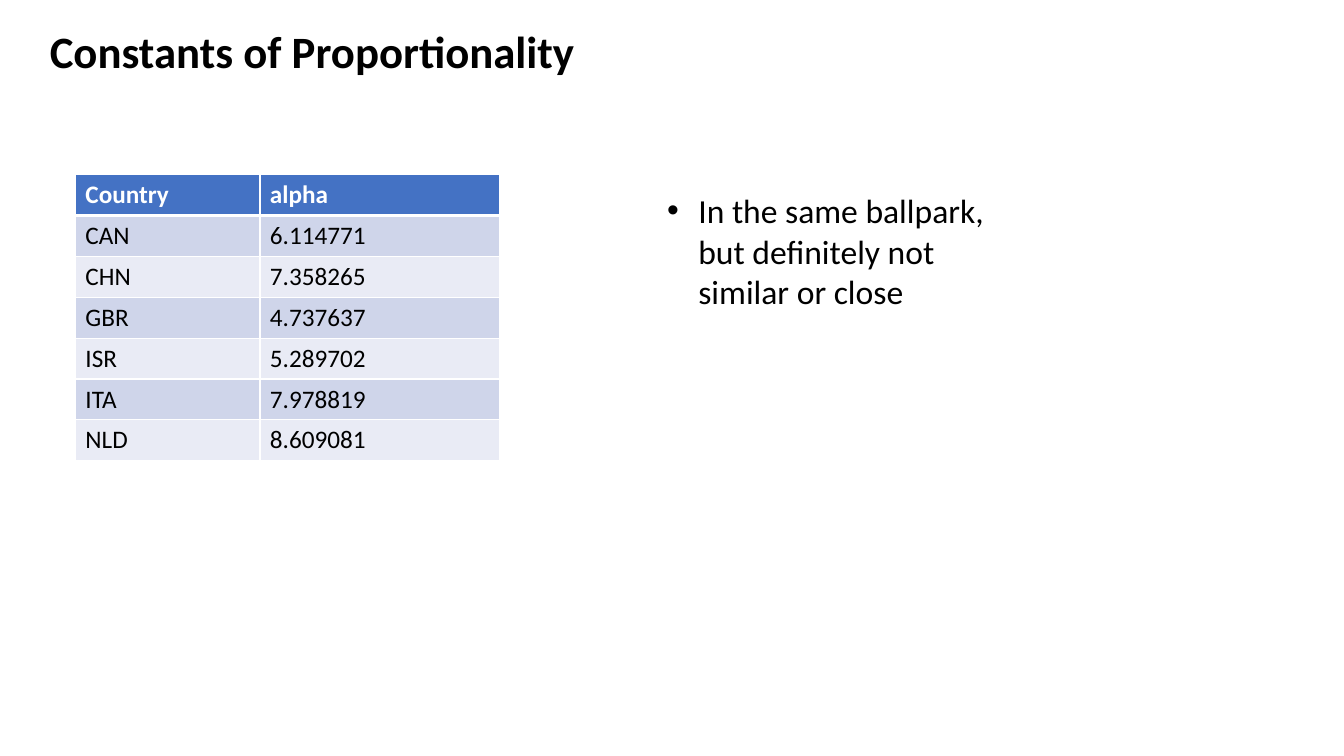
import dataclasses

import lxml.etree
import pptx
import pptx.dml.color
import pptx.enum.text
import pptx.oxml.ns
import pptx.util

Cm = pptx.util.Cm
Pt = pptx.util.Pt
qn = pptx.oxml.ns.qn


@dataclasses.dataclass(frozen=True)
class Theme:
    font: str = "Calibri"
    text: str = "000000"
    light: str = "FFFFFF"
    header: str = "4472C4"
    bands: tuple = ("CFD5EA", "E9EBF5")
    title_size: int = 32
    body_size: int = 24
    table_size: int = 18


THEME = Theme()
ALPHAS = [
    ("Country", "alpha"),
    ("CAN", "6.114771"),
    ("CHN", "7.358265"),
    ("GBR", "4.737637"),
    ("ISR", "5.289702"),
    ("ITA", "7.978819"),
    ("NLD", "8.609081"),
]


def rgb(color):
    return pptx.dml.color.RGBColor.from_string(color)


def set_text(tf, text, size, color, bold=False):
    tf.text = text
    p = tf.paragraphs[0]
    p.alignment = pptx.enum.text.PP_ALIGN.LEFT
    font = p.runs[0].font
    font.name, font.size, font.bold = THEME.font, Pt(size), bold
    font.color.rgb = rgb(color)
    return p


def set_borders(cell, bottom):
    tcPr = cell._tc.get_or_add_tcPr()
    for side, width in (("L", 1), ("R", 1), ("T", 1), ("B", bottom)):
        ln = lxml.etree.SubElement(tcPr, qn(f"a:ln{side}"), w=str(Pt(width)))
        fill = lxml.etree.SubElement(ln, qn("a:solidFill"))
        lxml.etree.SubElement(fill, qn("a:srgbClr"), val=THEME.light)


def add_title(s, text, left, top, width, height):
    sp = s.shapes.title
    sp.left, sp.top, sp.width, sp.height = left, top, width, height
    tf = sp.text_frame
    tf.word_wrap = True
    tf.auto_size = pptx.enum.text.MSO_AUTO_SIZE.NONE
    tf.vertical_anchor = pptx.enum.text.MSO_ANCHOR.TOP
    set_text(tf, text, THEME.title_size, THEME.text, bold=True)


def add_alpha_table(s, rows, left, top, width, height):
    table = s.shapes.add_table(len(rows), 2, left, top, width, height).table
    table.columns[0].width = Cm(4.65)
    table.columns[1].width = width - Cm(4.65)
    for i, row in enumerate(rows):
        is_header = i == 0
        fill = THEME.header if is_header else THEME.bands[(i - 1) % 2]
        color = THEME.light if is_header else THEME.text
        for j, value in enumerate(row):
            cell = table.cell(i, j)
            set_text(cell.text_frame, value, THEME.table_size, color, is_header)
            set_borders(cell, 3 if is_header else 1)
            cell.fill.solid()
            cell.fill.fore_color.rgb = rgb(fill)


def add_bullet(s, text, left, top, width, height):
    tf = s.shapes.add_textbox(left, top, width, height).text_frame
    tf.word_wrap = True
    p = set_text(tf, text, THEME.body_size, THEME.text)
    pPr = p._p.get_or_add_pPr()
    pPr.set("marL", str(Cm(0.79)))
    pPr.set("indent", str(-Cm(0.79)))
    lxml.etree.SubElement(pPr, qn("a:buFont"), typeface="Arial")
    lxml.etree.SubElement(pPr, qn("a:buChar"), char="•")


def main():
    prs = pptx.Presentation()
    prs.slide_width, prs.slide_height = Cm(33.87), Cm(19.05)
    s = prs.slides.add_slide(prs.slide_layouts[5])
    add_title(s, "Constants of Proportionality", Cm(1), Cm(0.48), Cm(17.78), Cm(1.63))
    add_alpha_table(s, ALPHAS, Cm(1.9), Cm(4.4), Cm(10.7), Cm(7.21))
    add_bullet(
        s,
        "In the same ballpark, but definitely not similar or close",
        Cm(16.56), Cm(4.67), Cm(9.4), Cm(3.33),
    )
    prs.save("out.pptx")


if __name__ == "__main__":
    main()
